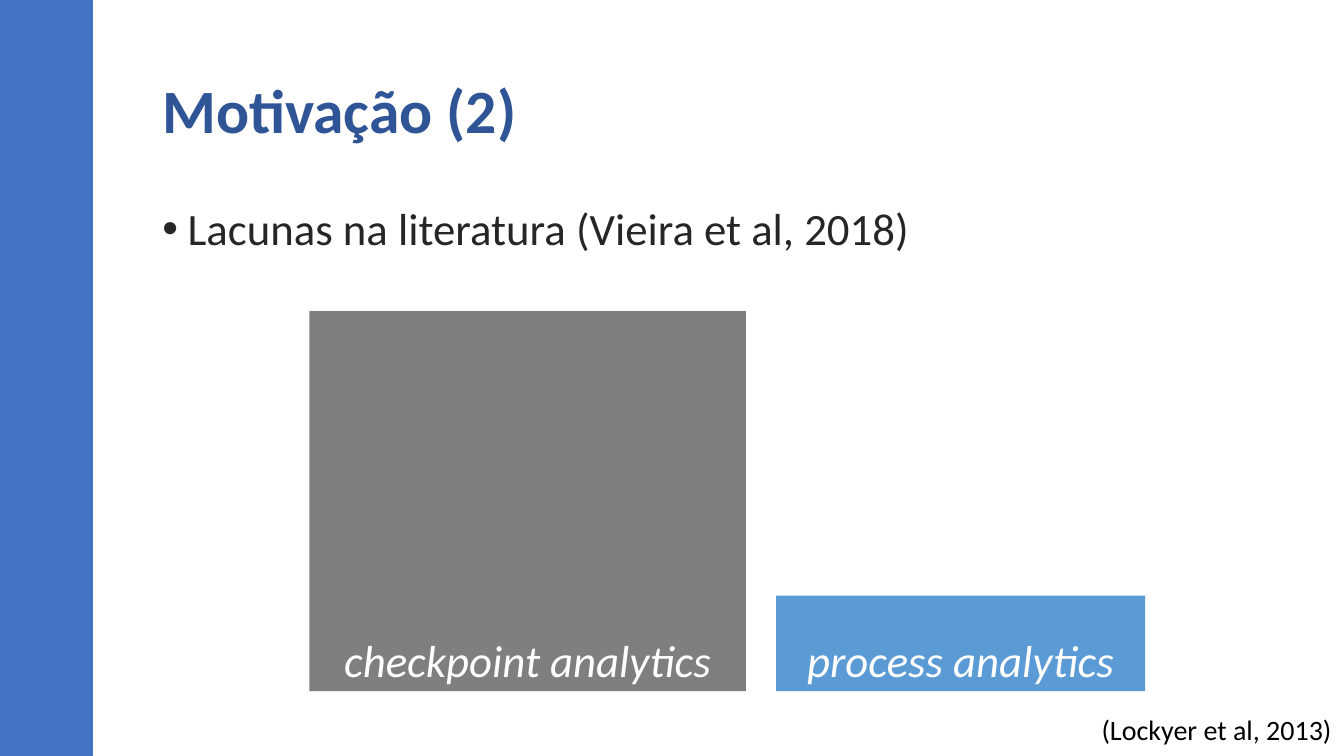
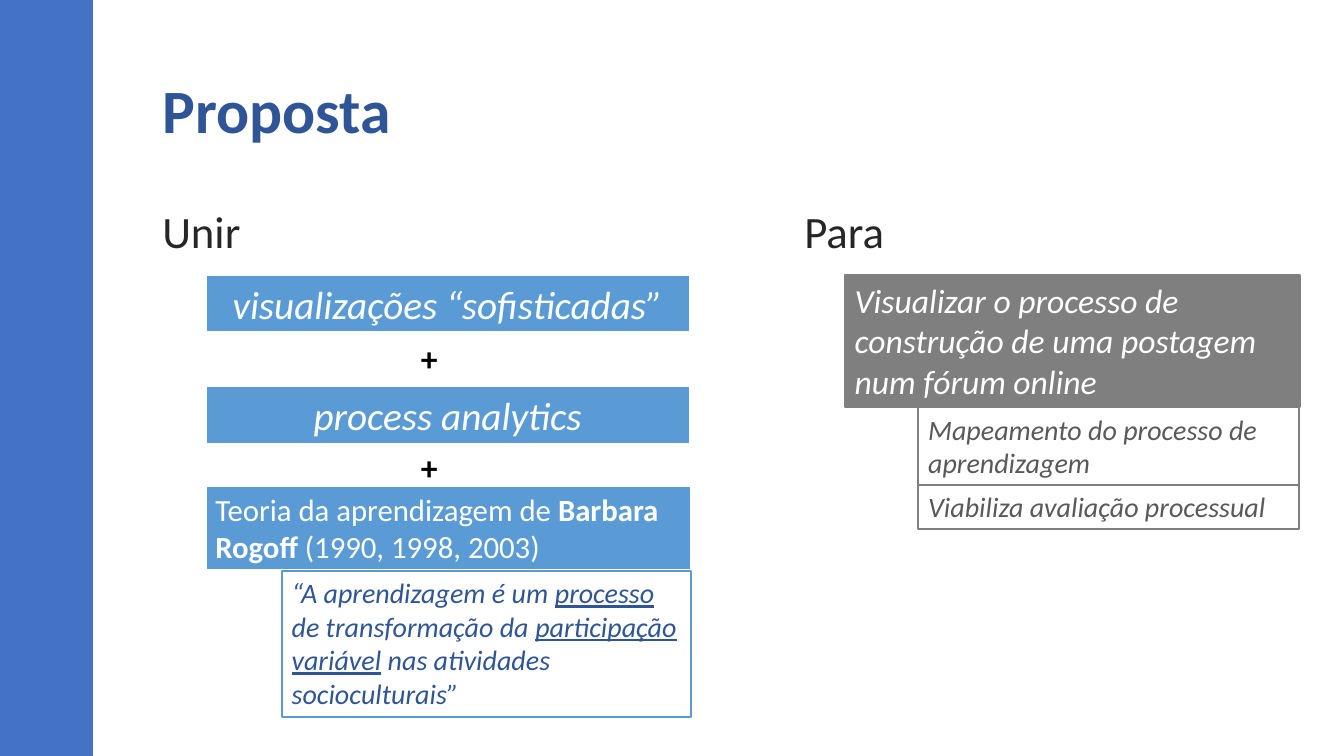
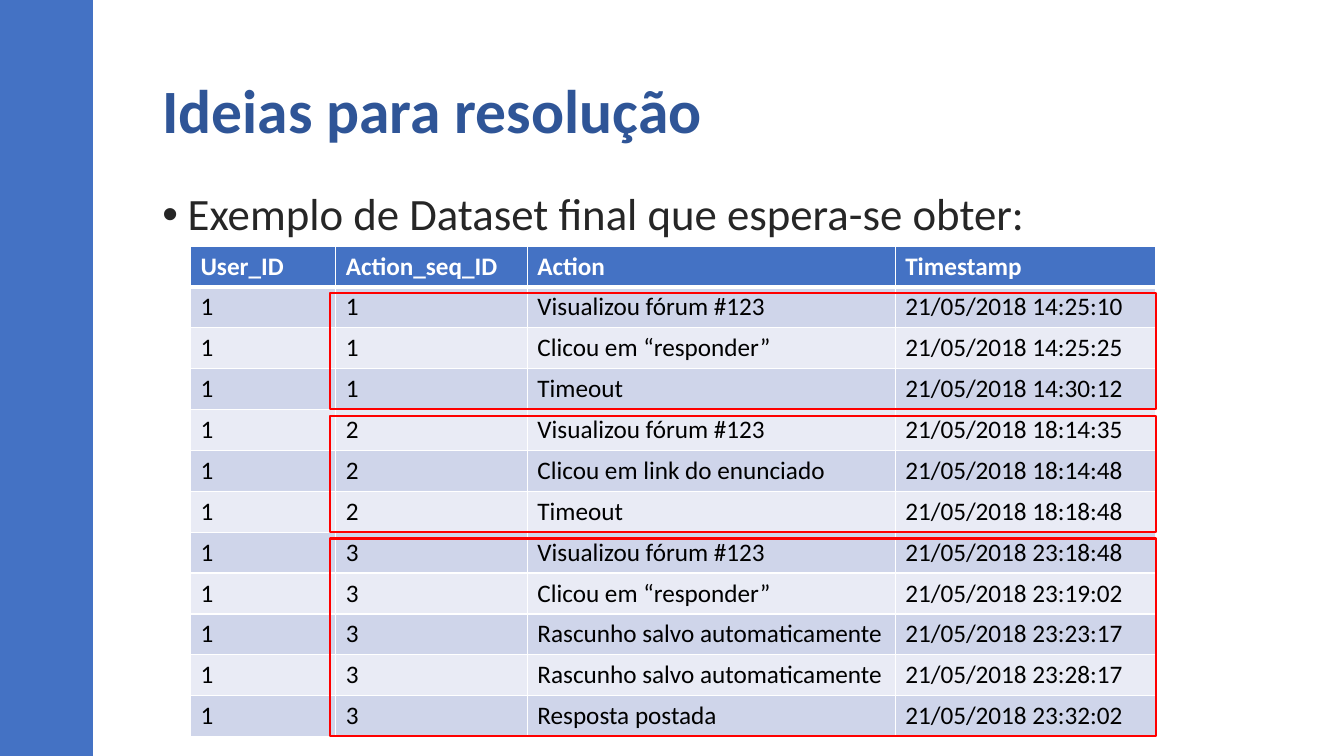
from dataclasses import dataclass
from itertools import groupby

from pptx import Presentation
from pptx import util as u
from pptx.dml import color
from pptx.enum import shapes, text
from pptx.oxml import parse_xml
from pptx.oxml.ns import nsdecls

Cm = u.Cm
MID = text.MSO_ANCHOR.MIDDLE
LOW = text.MSO_ANCHOR.BOTTOM


@dataclass(frozen=True)
class Theme:
    font: str = "Calibri"
    band: str = "4472C4"
    navy: str = "2F5597"
    sky: str = "5B9BD5"
    gray: str = "7F7F7F"
    dim: str = "595959"
    ink: str = "262626"
    black: str = "000000"
    white: str = "FFFFFF"
    red: str = "FF0000"
    odd: str = "CFD5EA"
    even: str = "E9EBF5"
    title: int = 44
    lead: int = 32
    large: int = 28
    mid: int = 24
    theory: int = 22
    note: int = 20
    cell: int = 18
    edge: float = 1.5


T = Theme()
LEFT = 3.84
WIDTH = 27.69

HEADS = ("User_ID", "Action_seq_ID", "Action", "Timestamp")
ROWS = (
    ("1", "1", "Visualizou fórum #123", "21/05/2018 14:25:10"),
    ("1", "1", "Clicou em “responder”", "21/05/2018 14:25:25"),
    ("1", "1", "Timeout", "21/05/2018 14:30:12"),
    ("1", "2", "Visualizou fórum #123", "21/05/2018 18:14:35"),
    ("1", "2", "Clicou em link do enunciado", "21/05/2018 18:14:48"),
    ("1", "2", "Timeout", "21/05/2018 18:18:48"),
    ("1", "3", "Visualizou fórum #123", "21/05/2018 23:18:48"),
    ("1", "3", "Clicou em “responder”", "21/05/2018 23:19:02"),
    ("1", "3", "Rascunho salvo automaticamente", "21/05/2018 23:23:17"),
    ("1", "3", "Rascunho salvo automaticamente", "21/05/2018 23:28:17"),
    ("1", "3", "Resposta postada", "21/05/2018 23:32:02"),
)


def tint(code):
    return color.RGBColor.from_string(code)


def write(frame, words, size=T.lead, ink=T.ink, bold=False, slant=False,
          center=False, anchor=None, wrap=True, grow=False, bullet=False,
          space=None):
    frame.word_wrap = wrap
    if anchor is not None:
        frame.vertical_anchor = anchor
    if grow:
        frame.auto_size = text.MSO_AUTO_SIZE.SHAPE_TO_FIT_TEXT
    para = frame.paragraphs[0]
    para.alignment = text.PP_ALIGN.CENTER if center else text.PP_ALIGN.LEFT
    if space:
        para.line_spacing = space
    if bullet:
        para.space_before = u.Pt(10)
        props = para._p.get_or_add_pPr()
        props.set("marL", str(Cm(0.64)))
        props.set("indent", str(-Cm(0.64)))
        props.append(parse_xml(f'<a:buFont {nsdecls("a")} typeface="Arial"/>'))
        props.append(parse_xml(f'<a:buChar {nsdecls("a")} char="•"/>'))
    parts = [(words, "")] if isinstance(words, str) else words
    for part, mark in parts:
        run = para.add_run()
        run.text = part
        font = run.font
        font.name = T.font
        font.size = u.Pt(size)
        font.color.rgb = tint(ink)
        font.bold = bold or mark == "bold"
        font.italic = slant
        font.underline = mark == "under"


def label(slide, words, x, y, w, h, **style):
    box = slide.shapes.add_textbox(Cm(x), Cm(y), Cm(w), Cm(h))
    write(box.text_frame, words, **style)


def block(slide, x, y, w, h, words=None, fill=None, line=None, **style):
    box = slide.shapes.add_shape(shapes.MSO_SHAPE.RECTANGLE,
                                 Cm(x), Cm(y), Cm(w), Cm(h))
    box.shadow.inherit = False
    if fill:
        box.fill.solid()
        box.fill.fore_color.rgb = tint(fill)
    else:
        box.fill.background()
    if line:
        box.line.color.rgb = tint(line)
        box.line.width = u.Pt(T.edge)
    else:
        box.line.fill.background()
    if words:
        write(box.text_frame, words, **{"anchor": text.MSO_ANCHOR.TOP, **style})


def page(deck, title):
    slide = deck.slides.add_slide(deck.slide_layouts[6])
    block(slide, 0, 0, 2.34, 19.05, fill=T.band)
    label(slide, title, LEFT, 1.02, WIDTH, 3.68, size=T.title, ink=T.navy,
          bold=True, anchor=MID, space=0.9)
    return slide


def point(slide, words, y):
    label(slide, words, LEFT, y, WIDTH, 12.09, bullet=True, space=0.9)


def edge(cell, side, width):
    cell._tc.get_or_add_tcPr().append(parse_xml(
        f'<a:ln{side} {nsdecls("a")} w="{u.Pt(width)}"><a:solidFill>'
        f'<a:srgbClr val="{T.white}"/></a:solidFill></a:ln{side}>'))


def grid(slide, x, y, cols, step):
    data = (HEADS,) + ROWS
    frame = slide.shapes.add_table(len(data), len(cols), Cm(x), Cm(y),
                                   Cm(sum(cols)), Cm(step * len(data)))
    table = frame.table
    for col, width in zip(table.columns, cols):
        col.width = Cm(width)
    for i, row in enumerate(data):
        table.rows[i].height = Cm(step)
        fill = T.band if i == 0 else T.odd if i % 2 else T.even
        for j, words in enumerate(row):
            cell = table.cell(i, j)
            for side in "LRTB":
                heavy = (i, side) in ((0, "B"), (1, "T"))
                edge(cell, side, 3 if heavy else 1)
            cell.fill.solid()
            cell.fill.fore_color.rgb = tint(fill)
            write(cell.text_frame, words, size=T.cell, bold=i == 0,
                  ink=T.black if i else T.white)


def gaps(deck):
    slide = page(deck, "Motivação (2)")
    point(slide, "Lacunas na literatura (Vieira et al, 2018)", 5.08)
    label(slide, "(Lockyer et al, 2013)", 27.51, 17.83, 6.38, 1.12,
          size=T.note, ink=T.black, wrap=False, grow=True)
    base = 17.42
    for words, x, w, h, fill in (
            ("checkpoint analytics", 7.8, 11, 9.58, T.gray),
            ("process analytics", 19.56, 9.3, 2.41, T.sky)):
        block(slide, x, base - h, w, h, words, fill=fill, ink=T.white,
              slant=True, center=True, anchor=LOW)


def plan(deck):
    slide = page(deck, "Proposta")
    for words, x, w in (("Unir", LEFT, 2.49), ("Para", 20.02, 2.54)):
        label(slide, words, x, 5, w, 1.63, wrap=False, grow=True)
    top, step = 6.93, 2.8
    for i, words in enumerate(("visualizações “sofisticadas”",
                               "process analytics")):
        block(slide, 5.18, top + i * step, 12.2, 1.45, words, fill=T.sky,
              line=T.white, size=T.large, ink=T.white, slant=True,
              center=True, grow=True)
        label(slide, "+", 10.36, 8.38 + i * 2.75, 0.94, 1.27, size=T.mid,
              ink=T.black, bold=True, wrap=False, grow=True)
    theory = (("Teoria da aprendizagem de ", ""), ("Barbara Rogoff", "bold"),
              (" (1990, 1998, 2003)", ""))
    block(slide, 5.18, 12.24, 12.24, 2.13, theory, fill=T.sky, line=T.white,
          size=T.theory, ink=T.white, grow=True)
    quote = (("“A aprendizagem é um ", ""), ("processo", "under"),
             (" de transformação da ", ""), ("participação variável", "under"),
             (" nas atividades socioculturais”", ""))
    block(slide, 7.1, 14.38, 10.31, 3.68, quote, line=T.sky, size=T.note,
          ink=T.navy, slant=True, grow=True)
    goal = "Visualizar o processo de construção de uma postagem num fórum online"
    block(slide, 21.29, top, 11.46, 3.33, goal, fill=T.gray, line=T.gray,
          size=T.mid, ink=T.white, slant=True, grow=True)
    y = top + 3.33
    for words, h in (("Mapeamento do processo de aprendizagem", 1.96),
                     ("Viabiliza avaliação processual", 1.12)):
        block(slide, 23.14, y, 9.6, h, words, line=T.gray, size=T.note,
              ink=T.dim, slant=True, grow=True)
        y += h


def log(deck):
    slide = page(deck, "Ideias para resolução")
    point(slide, "Exemplo de Dataset final que espera-se obter:", 4.72)
    x, y, step = 4.8, 6.2, 1.03
    grid(slide, x, y, (3.66, 4.83, 9.27, 6.55), step)
    y += step
    for _, group in groupby(ROWS, key=lambda row: row[1]):
        h = step * len(list(group))
        block(slide, 8.31, y + 0.16, 20.83, h - 0.17, line=T.red)
        y += h


def main():
    deck = Presentation()
    deck.slide_width, deck.slide_height = Cm(33.87), Cm(19.05)
    gaps(deck)
    plan(deck)
    log(deck)
    deck.save("out.pptx")


if __name__ == "__main__":
    main()
